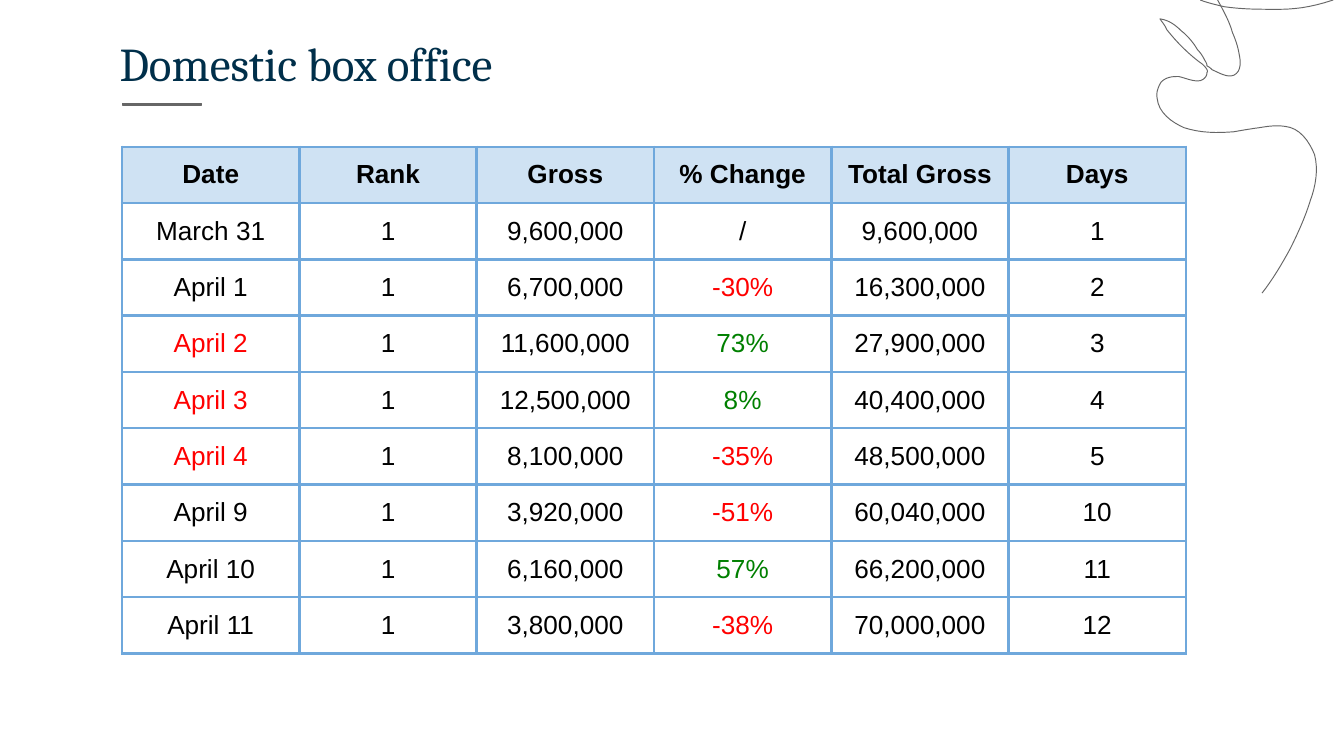
import lxml.etree
import pptx
import pptx.dml.color
import pptx.enum.shapes
import pptx.enum.text
import pptx.oxml.ns
import pptx.util

Pt = pptx.util.Pt
RGBColor = pptx.dml.color.RGBColor
qn = pptx.oxml.ns.qn

NAVY = RGBColor(0x00, 0x2F, 0x4A)
GRAY = RGBColor(0x66, 0x66, 0x66)
BLACK = RGBColor(0x00, 0x00, 0x00)
RED = RGBColor(0xFF, 0x00, 0x00)
GREEN = RGBColor(0x00, 0x80, 0x00)
HEADER_BLUE = RGBColor(0xCF, 0xE2, 0xF3)
BORDER_BLUE = RGBColor(0x6F, 0xA8, 0xDC)

HEADINGS = ("Date", "Rank", "Gross", "% Change", "Total Gross", "Days")
DAILY_RESULTS = (
    ("March 31", "1", "9,600,000", "/", "9,600,000", "1"),
    ("April 1", "1", "6,700,000", "-30%", "16,300,000", "2"),
    ("April 2", "1", "11,600,000", "73%", "27,900,000", "3"),
    ("April 3", "1", "12,500,000", "8%", "40,400,000", "4"),
    ("April 4", "1", "8,100,000", "-35%", "48,500,000", "5"),
    ("April 9", "1", "3,920,000", "-51%", "60,040,000", "10"),
    ("April 10", "1", "6,160,000", "57%", "66,200,000", "11"),
    ("April 11", "1", "3,800,000", "-38%", "70,000,000", "12"),
)
RED_DATES = ("April 2", "April 3", "April 4")

RIBBON = ((56.9, 157), (
    (62.6, 149.8, 67.7, 141.1, 72, 133.2),
    (76.3, 124.6, 79.9, 116.6, 82.8, 107.3),
    (85.7, 99.4, 87.1, 90.7, 85, 82.8),
    (82.1, 75.6, 77, 68.4, 69.1, 67.7),
    (64.1, 67, 59.8, 67.7, 55.4, 68.4),
    (50.4, 69.1, 46.1, 69.8, 41.8, 70.6),
    (33.1, 71.3, 23.8, 71.3, 15.1, 68.4),
    (8.6, 65.5, 1.4, 60.5, 0.7, 52.6),
    (0, 49.7, 1.4, 46.1, 2.9, 43.9),
    (5.8, 41, 9.4, 41, 12.2, 41),
    (15.8, 41.8, 20.2, 43.9, 23.8, 43.2),
    (25.9, 42.5, 27.4, 41, 27.4, 38.9),
    (28.1, 38.2, 27.4, 36.7, 25.2, 34.6),
    (18, 29.5, 11.5, 23, 5.8, 15.8),
    (5, 13.7, 3.6, 12.2, 2.2, 10.1),
    (7.2, 10.8, 10.8, 13.7, 13.7, 16.6),
    (17.3, 19.4, 20.2, 23, 22.3, 26.6),
    (23.8, 28.1, 25.2, 30.2, 25.9, 31.7),
    (26.6, 33.1, 27.4, 33.8, 27.4, 35.3),
    (28.8, 36, 29.5, 36.7, 30.2, 37.4),
    (33.8, 38.9, 38.2, 41.8, 41.8, 40.3),
    (46.1, 38.2, 45.4, 32.4, 44.6, 28.8),
    (43.9, 24.5, 42.5, 20.9, 41, 17.3),
    (39.6, 12.2, 37.4, 7.9, 33.1, 0),
))
TOP_ARC = ((23.8, 0), (
    (27.4, 1.4, 31.7, 2.5, 36.7, 3.6),
    (46.1, 5, 55.4, 5, 64.8, 5),
    (73.4, 5, 82.1, 4.3, 95, 0),
))


def curve_points(start, segments, steps=8):
    points = [start]
    for x1, y1, x2, y2, x3, y3 in segments:
        x0, y0 = points[-1]
        for step in range(1, steps + 1):
            t = step / steps
            u = 1 - t
            weights = (u ** 3, 3 * u * u * t, 3 * u * t * t, t ** 3)
            points.append((
                sum(w * x for w, x in zip(weights, (x0, x1, x2, x3))),
                sum(w * y for w, y in zip(weights, (y0, y1, y2, y3))),
            ))
    return points


def add_ribbon(slide, left, top):
    ribbon, arc = (
        [(Pt(left + x), Pt(top + y)) for x, y in curve_points(*stroke)]
        for stroke in (RIBBON, TOP_ARC)
    )
    builder = slide.shapes.build_freeform(*ribbon[0])
    builder.add_line_segments(ribbon[1:], close=False)
    builder.move_to(*arc[0])
    builder.add_line_segments(arc[1:], close=False)
    flourish = builder.convert_to_shape()
    flourish.shadow.inherit = False
    flourish.fill.background()
    flourish.line.color.rgb = GRAY
    flourish.line.width = Pt(0.5)


def add_heading(slide, left, top, width, height):
    title = slide.shapes.title
    title.left, title.top = Pt(left), Pt(top)
    title.width, title.height = Pt(width), Pt(height)
    frame = title.text_frame
    frame.text = "Domestic box office"
    frame.auto_size = pptx.enum.text.MSO_AUTO_SIZE.NONE
    frame.vertical_anchor = pptx.enum.text.MSO_ANCHOR.MIDDLE
    frame.margin_left = frame.margin_right = Pt(7.2)
    frame.margin_top = frame.margin_bottom = Pt(7.2)
    paragraph = frame.paragraphs[0]
    paragraph.alignment = pptx.enum.text.PP_ALIGN.LEFT
    font = paragraph.runs[0].font
    font.name, font.size, font.color.rgb = "Cambria", Pt(25.2), NAVY

    underline = slide.shapes.add_shape(
        pptx.enum.shapes.MSO_SHAPE.RECTANGLE,
        Pt(left + 8.6), Pt(top + height - 0.7), Pt(42.5), Pt(0.7))
    underline.shadow.inherit = False
    underline.fill.solid()
    underline.fill.fore_color.rgb = GRAY
    underline.line.color.rgb = GRAY
    underline.line.width = Pt(0.75)


def add_borders(cell):
    properties = cell._tc.get_or_add_tcPr()
    for side in ("a:lnL", "a:lnR", "a:lnT", "a:lnB"):
        border = lxml.etree.SubElement(properties, qn(side), w=str(Pt(1.5)))
        fill = lxml.etree.SubElement(border, qn("a:solidFill"))
        lxml.etree.SubElement(fill, qn("a:srgbClr"), val=str(BORDER_BLUE))


def text_color(text):
    if text in RED_DATES or text.startswith("-"):
        return RED
    return GREEN if text[:-1].isdigit() and text.endswith("%") else BLACK


def fill_cell(cell, text, is_heading):
    cell.text_frame.text = text
    cell.vertical_anchor = pptx.enum.text.MSO_ANCHOR.MIDDLE
    cell.margin_left = cell.margin_right = Pt(7.2)
    cell.margin_top = cell.margin_bottom = Pt(7.2)
    paragraph = cell.text_frame.paragraphs[0]
    paragraph.alignment = pptx.enum.text.PP_ALIGN.CENTER
    font = paragraph.runs[0].font
    font.name, font.size, font.bold = "Arial", Pt(14), is_heading
    font.color.rgb = text_color(text)
    add_borders(cell)
    if is_heading:
        cell.fill.solid()
        cell.fill.fore_color.rgb = HEADER_BLUE
    else:
        cell.fill.background()


def add_gross_table(slide, left, top, width, height):
    rows = (HEADINGS,) + DAILY_RESULTS
    table = slide.shapes.add_table(
        len(rows), len(HEADINGS), Pt(left), Pt(top), Pt(width), Pt(height)).table
    table.first_row = table.horz_banding = False
    for column in table.columns:
        column.width = Pt(width / len(HEADINGS))
    for row_index, row in enumerate(rows):
        table.rows[row_index].height = Pt(height / len(rows))
        for column_index, text in enumerate(row):
            fill_cell(table.cell(row_index, column_index), text, row_index == 0)


def main():
    deck = pptx.Presentation()
    deck.slide_width, deck.slide_height = Pt(720), Pt(405)
    slide = deck.slides.add_slide(deck.slide_layouts[5])
    add_ribbon(slide, 619.2, 0)
    add_heading(slide, 56.9, 10.8, 607, 45.4)
    add_gross_table(slide, 65.4, 78.6, 570, 270.9)
    deck.save("out.pptx")


if __name__ == "__main__":
    main()
